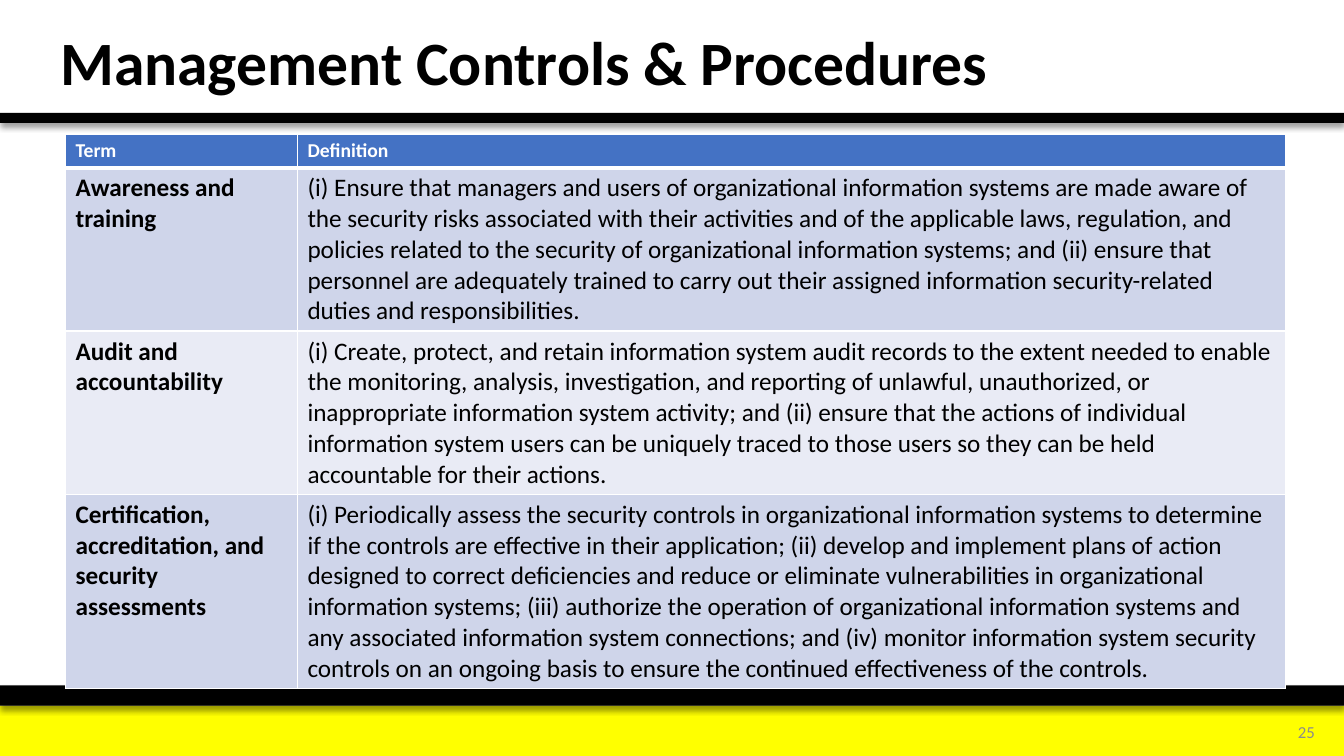
from lxml import etree
from pptx import Presentation
from pptx.dml.color import RGBColor as RGB
from pptx.enum.shapes import MSO_SHAPE as Shape
from pptx.enum.text import MSO_ANCHOR as Anchor, PP_ALIGN as Align
from pptx.oxml import parse_xml
from pptx.oxml.ns import nsdecls, qn
from pptx.util import Inches, Pt

COLORS = {"black": "000000", "white": "FFFFFF", "yellow": "FFFF00", "gray": "8C8C8C",
          "head": "4472C4", "dark": "CFD5EA", "light": "E9EBF5"}
WIDTH, HEIGHT = 13.33, 7.5
TERMS = [
    ("Term", "Definition"),
    ("Awareness and training",
     "(i) Ensure that managers and users of organizational information systems are made aware "
     "of the security risks associated with their activities and of the applicable laws, "
     "regulation, and policies related to the security of organizational information systems; "
     "and (ii) ensure that personnel are adequately trained to carry out their assigned "
     "information security-related duties and responsibilities."),
    ("Audit and accountability",
     "(i) Create, protect, and retain information system audit records to the extent needed to "
     "enable the monitoring, analysis, investigation, and reporting of unlawful, unauthorized, "
     "or inappropriate information system activity; and (ii) ensure that the actions of "
     "individual information system users can be uniquely traced to those users so they can be "
     "held accountable for their actions."),
    ("Certification, accreditation, and security assessments",
     "(i) Periodically assess the security controls in organizational information systems to "
     "determine if the controls are effective in their application; (ii) develop and implement "
     "plans of action designed to correct deficiencies and reduce or eliminate vulnerabilities "
     "in organizational information systems; (iii) authorize the operation of organizational "
     "information systems and any associated information system connections; and (iv) monitor "
     "information system security controls on an ongoing basis to ensure the continued "
     "effectiveness of the controls."),
]


def color(name):
    """Return the named colour."""
    return RGB.from_string(COLORS[name])


def style(para, size, name, bold=False):
    """Set the font of a paragraph."""
    font = para.font
    font.name, font.size, font.bold = "Calibri", Pt(size), bold
    font.color.rgb = color(name)


def add_band(slide, box, name, shade=False):
    """Draw a plain band, with a soft shadow below it if wanted."""
    band = slide.shapes.add_shape(Shape.RECTANGLE, *map(Inches, box))
    band.fill.solid()
    band.fill.fore_color.rgb = color(name)
    band.line.fill.background()
    band.shadow.inherit = False
    if shade:
        effects = band.fill._xPr.find(qn("a:effectLst"))
        effects.append(parse_xml(
            f'<a:outerShdw {nsdecls("a")} blurRad="{Pt(4)}" dist="{Pt(3)}" dir="5400000" '
            f'algn="t" rotWithShape="0"><a:srgbClr val="{COLORS["black"]}">'
            '<a:alpha val="40000"/></a:srgbClr></a:outerShdw>'))


def add_label(slide, box, text, size, name, bold=False):
    """Place one line of text, centred in height, and return its paragraph."""
    frame = slide.shapes.add_textbox(*map(Inches, box)).text_frame
    frame.word_wrap = True
    frame.vertical_anchor = Anchor.MIDDLE
    para = frame.paragraphs[0]
    para.text = text
    style(para, size, name, bold)
    return para


def add_header(slide, box):
    """Place the title above a black rule at the foot of the box."""
    left, top, width, height = box
    add_band(slide, (left, top + height - 0.1, width, 0.1), "black", True)
    title = add_label(slide, (left + 0.5, top + 0.09, 9.68, 1.12),
                      "Management Controls & Procedures", 44, "black", True)
    title.line_spacing = 0.9


def add_footer(slide, box):
    """Place the black and yellow bands and the page number."""
    left, top, width, height = box
    add_band(slide, (left, top + 0.2, width, height - 0.2), "yellow")
    add_band(slide, (left, top, width, 0.2), "black", True)
    page = add_label(slide, (left + width - 0.95, top + 0.26, 0.76, 0.4), "25", 12, "gray")
    page.alignment = Align.RIGHT


def add_border(cell, side, points):
    """Give one side of a cell a white line."""
    line = etree.SubElement(cell._tc.get_or_add_tcPr(), qn(f"a:ln{side}"), w=str(Pt(points)))
    fill = etree.SubElement(line, qn("a:solidFill"))
    etree.SubElement(fill, qn("a:srgbClr"), val=COLORS["white"])


def add_terms(slide, box):
    """Place the table of terms and definitions."""
    left, top, width, height = box
    table = slide.shapes.add_table(len(TERMS), 2, *map(Inches, box)).table
    table.columns[0].width = Inches(2.3)
    table.columns[1].width = Inches(width - 2.3)
    for row, tall in zip(table.rows, (0.33, 1.62, 1.62, height - 3.57)):
        row.height = Inches(tall)
    for i, texts in enumerate(TERMS):
        shade = "head" if i == 0 else "dark" if i % 2 else "light"
        for j, text in enumerate(texts):
            cell = table.cell(i, j)
            for side in "LRTB":
                thick = (i, side) in ((0, "B"), (1, "T"))
                add_border(cell, side, 3 if thick else 1)
            cell.fill.solid()
            cell.fill.fore_color.rgb = color(shade)
            cell.text = text
            style(cell.text_frame.paragraphs[0], 18 if i else 14,
                  "black" if i else "white", i == 0 or j == 0)


def main():
    """Build the slide and save it."""
    deck = Presentation()
    deck.slide_width, deck.slide_height = Inches(WIDTH), Inches(HEIGHT)
    slide = deck.slides.add_slide(deck.slide_layouts[6])
    add_footer(slide, (0, 6.8, WIDTH, 0.7))
    add_header(slide, (0, 0, WIDTH, 1.22))
    add_terms(slide, (0.65, 1.33, 12.1, 5.5))
    deck.save("out.pptx")


if __name__ == "__main__":
    main()
